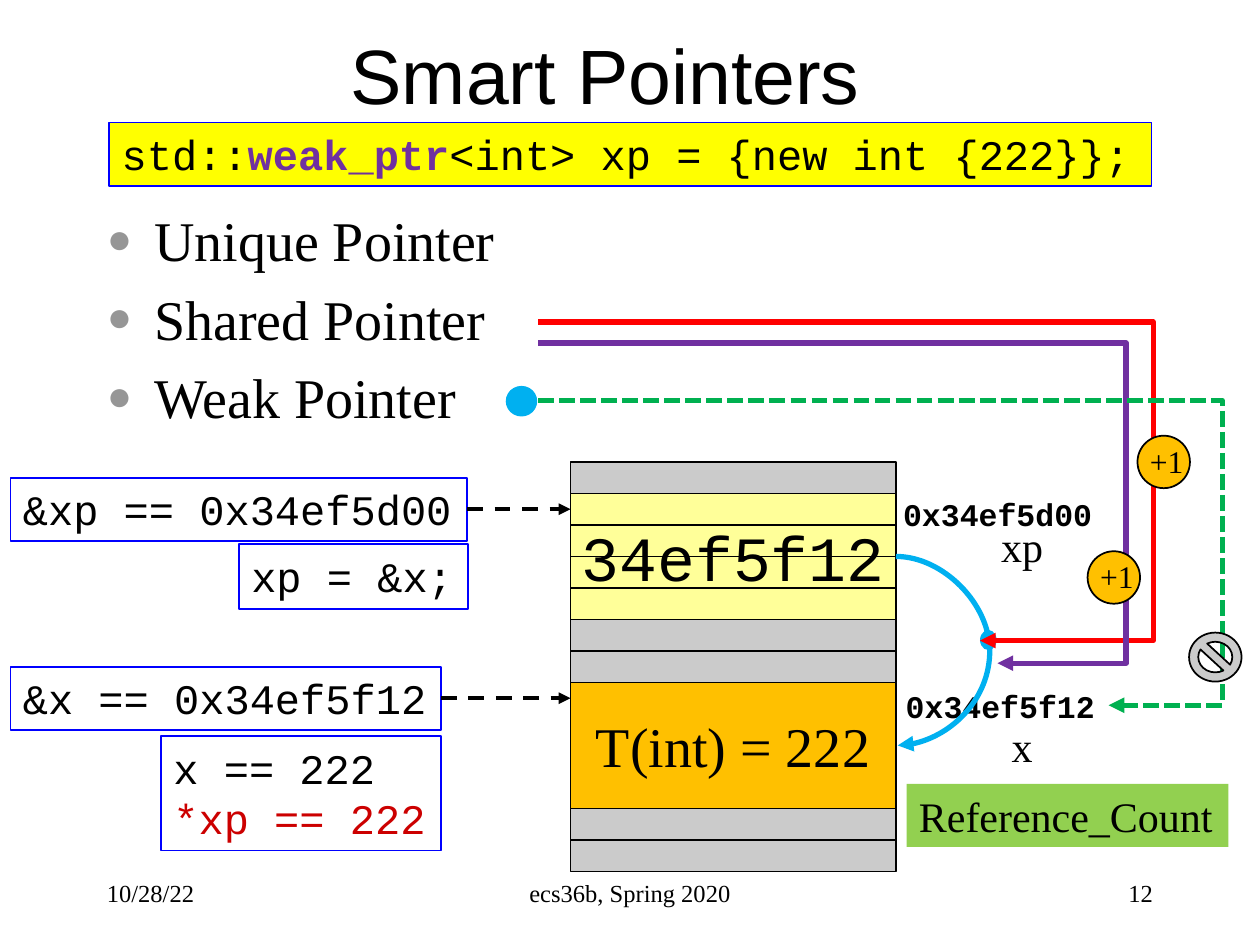
from lxml.etree import SubElement
from pptx import Presentation
from pptx.dml.color import RGBColor
from pptx.enum.dml import MSO_LINE_DASH_STYLE as Dash
from pptx.enum.shapes import MSO_CONNECTOR_TYPE as Link, MSO_SHAPE as Preset
from pptx.enum.text import MSO_ANCHOR as Anchor, MSO_AUTO_SIZE as Fit, PP_ALIGN as Align
from pptx.oxml.ns import qn
from pptx.util import Pt

BLACK = RGBColor(0, 0, 0)
GRAY = RGBColor(0xCB, 0xCB, 0xCB)
PALE = RGBColor(0xFF, 0xFF, 0x99)
ORANGE = RGBColor(0xFF, 0xC0, 0x00)
YELLOW = RGBColor(0xFF, 0xFF, 0x00)
LIME = RGBColor(0x92, 0xD0, 0x50)
BLUE = RGBColor(0x00, 0x00, 0xFF)
SKY = RGBColor(0x00, 0xB0, 0xF0)
RED = RGBColor(0xFF, 0x00, 0x00)
DARK_RED = RGBColor(0xCC, 0x00, 0x00)
PURPLE = RGBColor(0x70, 0x30, 0xA0)
GREEN = RGBColor(0x00, 0xB0, 0x50)
SANS, SERIF, CODE = "Arial", "Times New Roman", "Courier New"

MEMORY_LEFT, MEMORY_TOP, MEMORY_WIDTH, CELL = 326, 264, 186, 18


def points(*values):
    return [Pt(value) for value in values]


def add_span(para, text, font, size, color=BLACK, bold=False):
    span = para.add_run()
    span.text = text
    span.font.name = font
    span.font.size = Pt(size)
    span.font.color.rgb = color
    span.font.bold = bold


def write_lines(box, lines, font, size, align=Align.LEFT, anchor=Anchor.TOP, grow=False):
    frame = box.text_frame
    frame.word_wrap = False
    frame.vertical_anchor = anchor
    frame.auto_size = Fit.SHAPE_TO_FIT_TEXT if grow else Fit.NONE
    for index, line in enumerate(lines):
        para = frame.paragraphs[0] if index == 0 else frame.add_paragraph()
        para.alignment = align
        for text, *style in line:
            add_span(para, text, font, size, *style)


def add_label(shapes, place, text, font, size, bold=False):
    box = shapes.add_textbox(*points(*place))
    write_lines(box, [[(text, BLACK, bold)]], font, size, grow=True)


def add_heading(shapes, place, text, font, size, align):
    box = shapes.add_textbox(*points(*place))
    write_lines(box, [[(text,)]], font, size, align, Anchor.MIDDLE)
    box.text_frame.word_wrap = True


def add_figure(shapes, preset, place, fill=None, line=None):
    figure = shapes.add_shape(preset, *points(*place))
    figure.shadow.inherit = False
    if fill is None:
        figure.fill.background()
    else:
        figure.fill.solid()
        figure.fill.fore_color.rgb = fill
    if line is None:
        figure.line.fill.background()
    else:
        figure.line.color.rgb = line
        figure.line.width = Pt(1)
    return figure


def add_code_box(shapes, place, lines, fill=None):
    box = add_figure(shapes, Preset.RECTANGLE, place, fill, BLUE)
    write_lines(box, lines, CODE, 24, grow=True)
    return box


def add_memory_cell(shapes, first, count, fill, text=None, font=SERIF, size=32):
    place = (MEMORY_LEFT, MEMORY_TOP + first * CELL, MEMORY_WIDTH, count * CELL)
    cell = add_figure(shapes, Preset.RECTANGLE, place, fill, BLACK)
    if text:
        write_lines(cell, [[(text,)]], font, size, Align.CENTER, Anchor.MIDDLE)
    return cell


def add_arrow(shapes, kind, start, end, color, width, dash=None, turn=None):
    arrow = shapes.add_connector(kind, *points(*start, *end))
    arrow.line.color.rgb = color
    arrow.line.width = Pt(width)
    if dash is not None:
        arrow.line.dash_style = dash
    properties = arrow._element.spPr
    SubElement(properties.find(qn("a:ln")), qn("a:tailEnd"), type="triangle")
    SubElement(properties, qn("a:effectLst"))
    if turn is not None:
        ratio = round((turn - start[0]) / (end[0] - start[0]) * 100000)
        guides = properties.find(qn("a:prstGeom")).get_or_add_avLst()
        SubElement(guides, qn("a:gd"), name="adj1", fmla=f"val {ratio}")
    return arrow


def add_bullets(shapes, place, items):
    box = shapes.add_textbox(*points(*place))
    write_lines(box, [[(item,)] for item in items], SERIF, 32)
    box.text_frame.word_wrap = True
    for para in box.text_frame.paragraphs:
        settings = para._p.get_or_add_pPr()
        settings.set("marL", str(Pt(27)))
        settings.set("indent", str(Pt(-27)))
        SubElement(SubElement(settings, qn("a:spcBef")), qn("a:spcPct"), val="20000")
        SubElement(SubElement(settings, qn("a:buClr")), qn("a:srgbClr"), val="969696")
        SubElement(settings, qn("a:buSzPct"), val="75000")
        SubElement(settings, qn("a:buFont"), typeface=SERIF)
        SubElement(settings, qn("a:buChar"), char="●")


def add_counter(shapes, left, top):
    group = shapes.add_group_shape()
    add_figure(group.shapes, Preset.OVAL, (left, top, 30, 30), ORANGE, BLACK)
    add_label(group.shapes, (left, top, 34, 29), "+1", SERIF, 18)


def add_memory(shapes):
    for row in (0, 5, 6, 11, 12):
        add_memory_cell(shapes, row, 1, GRAY)
    pointer_cells = [add_memory_cell(shapes, row, 1, PALE) for row in range(1, 5)]
    add_memory_cell(shapes, 1, 4, None, "34ef5f12", CODE, 36)
    add_memory_cell(shapes, 7, 4, ORANGE, "T(int) = 222")
    return pointer_cells[0]


def add_addresses(shapes, first_cell):
    pointer = add_code_box(shapes, (6, 273, 261, 36), [[("&xp == 0x34ef5d00",)]])
    value = add_code_box(shapes, (6, 381, 246, 36), [[("&x == 0x34ef5f12",)]])
    add_code_box(shapes, (136.5, 311, 131, 37), [[("xp = &x;",)]])
    add_code_box(shapes, (92, 420.5, 160, 65.5), [[("x == 222",)], [("*xp == 222", DARK_RED)]])
    for box, right, middle in ((pointer, 267, 291), (value, 252, 399)):
        arrow = add_arrow(shapes, Link.STRAIGHT, (right, middle), (MEMORY_LEFT, middle),
                          BLACK, 2.25, Dash.DASH)
        arrow.begin_connect(box, 3)
        if box is pointer:
            arrow.end_connect(first_cell, 1)
    add_label(shapes, (565, 294, 42, 36), "xp", SERIF, 24)
    add_label(shapes, (571, 408, 28, 36), "x", SERIF, 24)
    add_label(shapes, (509, 279.5, 124, 29), "0x34ef5d00", CODE, 18, True)
    add_label(shapes, (510.5, 389, 124, 29), "0x34ef5f12", CODE, 18, True)


def add_references(shapes):
    add_arrow(shapes, Link.CURVE, (512, 318), (513, 426), SKY, 3, turn=566)
    add_figure(shapes, Preset.OVAL, (560, 360, 9.5, 11.5), SKY)
    add_figure(shapes, Preset.OVAL, (289, 220.5, 18, 17.5), SKY)
    for top, end, turn, color, dash in (
        (184, (560, 366), 659, RED, None),
        (196, (570, 379), 643.5, PURPLE, None),
        (229, (633.5, 403), 698.5, GREEN, Dash.SQUARE_DOT),
    ):
        add_arrow(shapes, Link.ELBOW, (307.5, top), end, color, 3, dash, turn)
    add_figure(shapes, Preset.NO_SYMBOL, (679.5, 361.5, 30, 28), GRAY, BLACK)
    add_counter(shapes, 650, 249)
    add_counter(shapes, 621.5, 315)
    count = add_figure(shapes, Preset.RECTANGLE, (518, 448, 184, 36), LIME)
    write_lines(count, [[("Reference_Count",)]], SERIF, 24, grow=True)


def main():
    deck = Presentation()
    deck.slide_width, deck.slide_height = points(720, 540)
    shapes = deck.slides.add_slide(deck.slide_layouts[6]).shapes
    add_heading(shapes, (97, 8, 498, 68), "Smart Pointers", SANS, 44, Align.CENTER)
    add_bullets(shapes, (54, 114, 612, 324), ["Unique Pointer", "Shared Pointer", "Weak Pointer"])
    for left, width, text, align in (
        (54, 150, "10/28/22", Align.LEFT),
        (246, 228, "ecs36b, Spring 2020", Align.CENTER),
        (516, 150, "12", Align.RIGHT),
    ):
        add_heading(shapes, (left, 492, width, 36), text, SERIF, 14, align)
    add_code_box(shapes, (62.5, 70, 595.5, 36.5), [[
        ("std::",), ("weak_ptr", PURPLE, True), ("<int> xp = {new int {222}};",)]], YELLOW)
    first_cell = add_memory(shapes)
    add_addresses(shapes, first_cell)
    add_references(shapes)
    deck.save("out.pptx")


if __name__ == "__main__":
    main()
